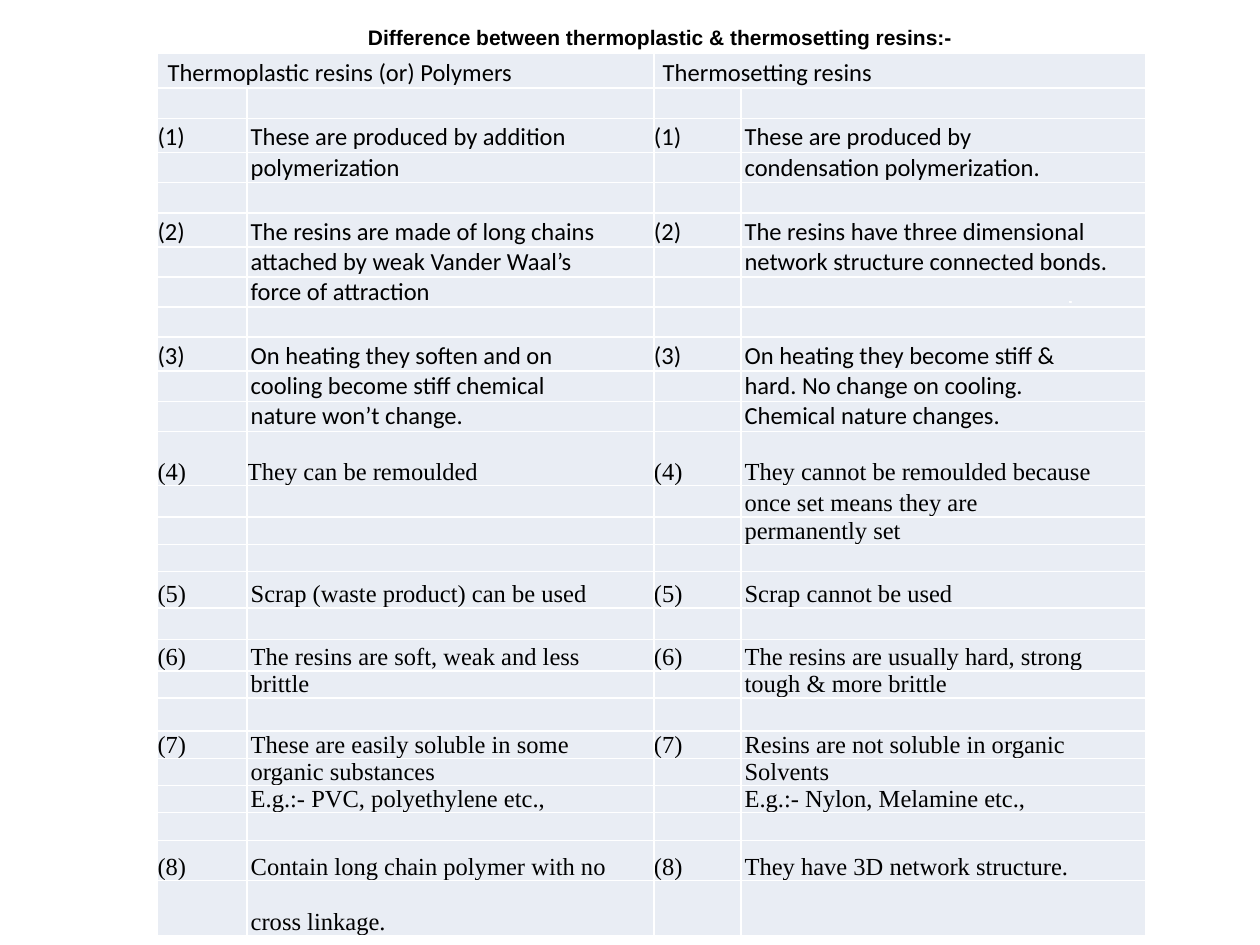
from itertools import zip_longest

from lxml.etree import SubElement
from pptx import Presentation
from pptx.dml.color import RGBColor
from pptx.enum.shapes import MSO_SHAPE
from pptx.enum.text import MSO_ANCHOR, PP_ALIGN
from pptx.oxml.ns import qn
from pptx.util import Inches, Pt

SLIDE_WIDTH, SLIDE_HEIGHT = 10, 7.5
COLUMN_WIDTHS = (0.71, 3.23, 0.69, 3.21)
TABLE_LEFT, TABLE_TOP = 1.25, 0.42
HEADING_HEIGHTS = (0.28, 0.24)
BODY_SIZE = 14
TEXT_INDENT = 0.03
SANS, SERIF = "Calibri", "Times New Roman"
HEADINGS = (
    (0, "Thermoplastic resins (or) Polymers", 0.08),
    (2, "Thermosetting resins", 0.07),
)

# Each entry: font, row heights, thermoplastic lines, thermosetting lines.
DIFFERENCES = (
    (SANS, (0.27, 0.24, 0.24),
     ("These are produced by addition", "polymerization"),
     ("These are produced by", "condensation polymerization.")),
    (SANS, (0.27, 0.24, 0.24, 0.23),
     ("The resins are made of long chains", "attached by weak Vander Waal’s",
      "force of attraction"),
     ("The resins have three dimensional", "network structure connected bonds.")),
    (SANS, (0.27, 0.24, 0.24),
     ("On heating they soften and on", "cooling become stiff chemical",
      "nature won’t change."),
     ("On heating they become stiff &", "hard. No change on cooling.",
      "Chemical nature changes.")),
    (SERIF, (0.43, 0.25, 0.21, 0.21),
     ("They can be remoulded",),
     ("They cannot be remoulded because", "once set means they are",
      "permanently set")),
    (SERIF, (0.29, 0.25),
     ("Scrap (waste product) can be used",),
     ("Scrap cannot be used",)),
    (SERIF, (0.25, 0.21, 0.26),
     ("The resins are soft, weak and less", "brittle"),
     ("The resins are usually hard, strong", "tough & more brittle")),
    (SERIF, (0.22, 0.21, 0.21, 0.22),
     ("These are easily soluble in some", "organic substances",
      "E.g.:- PVC, polyethylene etc.,"),
     ("Resins are not soluble in organic", "Solvents",
      "E.g.:- Nylon, Melamine etc.,")),
    (SERIF, (0.32, 0.44),
     ("Contain long chain polymer with no", "cross linkage."),
     ("They have 3D network structure.",)),
)


def color(hex_code):
    """Return the colour for a hex string."""
    return RGBColor.from_string(hex_code)


def style_font(font, name, size, bold=False):
    """Apply a black typeface to a font."""
    font.name, font.size, font.bold = name, Pt(size), bold
    font.color.rgb = color("000000")


def fill_cell(cell, text, typeface, indent=0):
    """Fill one table cell with a bottom-aligned line of text."""
    cell.fill.solid()
    cell.fill.fore_color.rgb = color("E9EDF4")
    cell.margin_left = cell.margin_right = 0
    cell.margin_top = cell.margin_bottom = 0
    cell.vertical_anchor = MSO_ANCHOR.BOTTOM
    line = cell.text_frame.paragraphs[0]
    if text:
        line.text = text
        line.alignment = PP_ALIGN.JUSTIFY
        line._p.get_or_add_pPr().set("marL", str(Inches(indent)))
        style_font(line.font, typeface, BODY_SIZE)
    else:
        ending = line._p.get_or_add_endParaRPr()
        ending.set("sz", str(BODY_SIZE * 100))
        SubElement(ending, qn("a:latin")).set("typeface", typeface)


def difference_rows():
    """Yield the height, typeface and four texts of each row."""
    for number, (typeface, heights, plastic, setting) in enumerate(DIFFERENCES, 1):
        labels = (f"({number})",)
        for height, label, left, right in zip_longest(
                heights, labels, plastic, setting, fillvalue=""):
            yield height, typeface, (label, left, label, right)


def add_comparison(slide):
    """Add the table comparing both kinds of resin."""
    rows = [(height, SANS, ("",) * len(COLUMN_WIDTHS)) for height in HEADING_HEIGHTS]
    rows += difference_rows()
    table = slide.shapes.add_table(
        len(rows), len(COLUMN_WIDTHS), Inches(TABLE_LEFT), Inches(TABLE_TOP),
        Inches(sum(COLUMN_WIDTHS)), Inches(sum(row[0] for row in rows))).table
    table.first_row = table.horz_banding = False
    for column, width in zip(table.columns, COLUMN_WIDTHS):
        column.width = Inches(width)
    for row, (height, typeface, texts) in zip(table.rows, rows):
        row.height = Inches(height)
        for column, (cell, text) in enumerate(zip(row.cells, texts)):
            flush = column % 2 == 0 or text == "They can be remoulded"
            fill_cell(cell, text, typeface, 0 if flush else TEXT_INDENT)
    for column, heading, indent in HEADINGS:
        table.cell(0, column).merge(table.cell(0, column + 1))
        fill_cell(table.cell(0, column), heading, SANS, indent)


def add_dot(slide):
    """Add the tiny outlined square beside the second difference."""
    dot = slide.shapes.add_shape(
        MSO_SHAPE.RECTANGLE, Inches(8.49), Inches(2.39), Inches(0.01), Inches(0.01))
    dot.shadow.inherit = False
    dot.fill.solid()
    dot.fill.fore_color.rgb = color("000000")
    dot.line.color.rgb = color("FFFFFF")
    dot.line.width = Pt(0.75)


def add_title(slide):
    """Add the title line above the table."""
    left = 1.92
    frame = slide.shapes.add_textbox(
        Inches(left), 0, Inches(SLIDE_WIDTH - left), Inches(0.5)).text_frame
    frame.word_wrap = True
    frame.vertical_anchor = MSO_ANCHOR.MIDDLE
    frame.margin_left, frame.margin_top = Inches(1), Inches(0.09)
    frame.margin_right = frame.margin_bottom = 0
    title = frame.paragraphs[0]
    title.text = "Difference between thermoplastic & thermosetting resins:-"
    style_font(title.font, "Arial", 12, bold=True)


def main():
    """Build and save the slide."""
    deck = Presentation()
    deck.slide_width, deck.slide_height = Inches(SLIDE_WIDTH), Inches(SLIDE_HEIGHT)
    slide = deck.slides.add_slide(deck.slide_layouts[6])
    add_comparison(slide)
    add_dot(slide)
    add_title(slide)
    deck.save("out.pptx")


if __name__ == "__main__":
    main()
